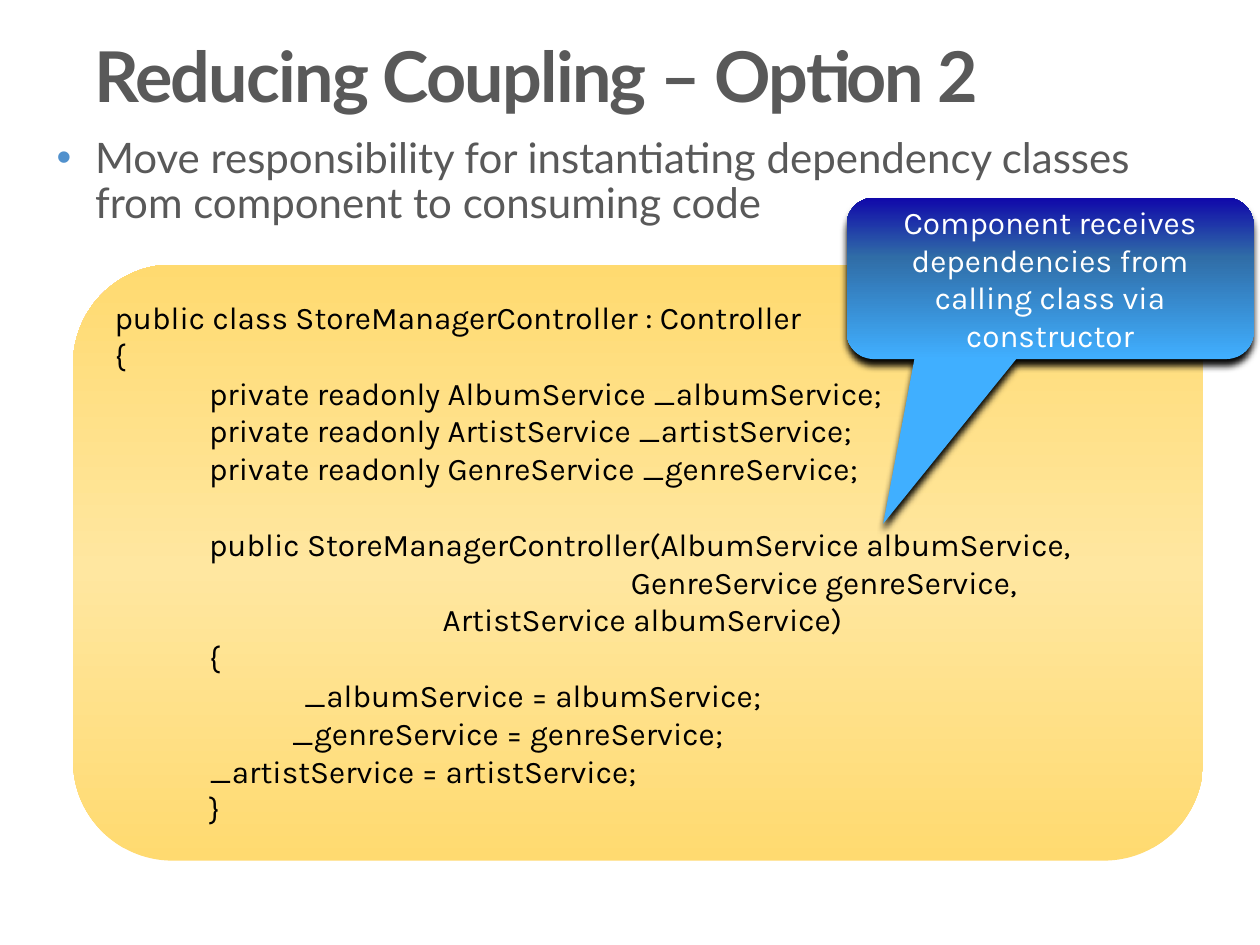
from copy import deepcopy
from dataclasses import dataclass

from lxml import etree
from pptx import Presentation
from pptx import util as u
from pptx.dml.color import RGBColor
from pptx.enum import shapes, text
from pptx.oxml.ns import qn

COLOURS = {
    "heading": "595959", "bullet": "5191CD", "code": "000000", "callout": "FFFFFF",
    "shadow": "000000", "amber": "FFDA70", "pale_amber": "FFE7A0",
    "sky": "40AFFF", "steel": "306DA7", "navy": "1008AA",
}


@dataclass(frozen=True)
class Box:
    left: float
    top: float
    width: float
    height: float

    def lengths(self) -> list:
        return [u.Pt(value) for value in (self.left, self.top, self.width, self.height)]


@dataclass(frozen=True)
class TextStyle:
    font: str
    size: float
    colour: str
    bold: bool = False


@dataclass(frozen=True)
class CodeLine:
    text: str
    indent: float = 0
    space_before: float = 0


TAB = 54
LINE_HEIGHT = 21.6
HEADING = TextStyle("Lato", 40, "heading", True)
BODY = TextStyle("Lato", 24, "heading")
CODE = TextStyle("Karla", 18, "code")
CALLOUT = TextStyle("Karla", 18, "callout")

CODE_LINES = [
    CodeLine("public class StoreManagerController : Controller"),
    CodeLine("{"),
    CodeLine("private readonly AlbumService _albumService;", TAB),
    CodeLine("private readonly ArtistService _artistService;", TAB),
    CodeLine("private readonly GenreService _genreService;", TAB),
    CodeLine("public StoreManagerController(AlbumService albumService,", TAB, LINE_HEIGHT),
    CodeLine("GenreService genreService,", 295),
    CodeLine("ArtistService albumService)", 187.5),
    CodeLine("{", TAB),
    CodeLine("_albumService = albumService;", 2 * TAB),
    CodeLine("_genreService = genreService;", 101),
    CodeLine("_artistService = artistService;", TAB),
    CodeLine("}", TAB),
]


def rgb(name: str) -> RGBColor:
    return RGBColor.from_string(COLOURS[name])


def write(paragraph, content: str, style: TextStyle) -> None:
    paragraph.text = content
    for run in paragraph.runs:
        run.font.name = style.font
        run.font.size = u.Pt(style.size)
        run.font.bold = style.bold
        run.font.color.rgb = rgb(style.colour)


def set_indent(paragraph, margin: float, first_line: float = 0) -> None:
    properties = paragraph._p.get_or_add_pPr()
    properties.set("marL", str(u.Pt(margin)))
    properties.set("indent", str(u.Pt(first_line)))


def add_bullet(paragraph, colour: str) -> None:
    properties = paragraph._p.get_or_add_pPr()
    bullet_colour = etree.SubElement(properties, qn("a:buClr"))
    etree.SubElement(bullet_colour, qn("a:srgbClr"), val=COLOURS[colour])
    etree.SubElement(properties, qn("a:buFont"), typeface="Arial")
    etree.SubElement(properties, qn("a:buChar"), char="•")


def add_text(slide, box: Box, content: str, style: TextStyle):
    """Add a text box without insets and return its paragraph."""
    frame = slide.shapes.add_textbox(*box.lengths()).text_frame
    frame.word_wrap = True
    frame.margin_left = frame.margin_right = frame.margin_top = frame.margin_bottom = 0
    paragraph = frame.paragraphs[0]
    paragraph.line_spacing = 0.9
    write(paragraph, content, style)
    return paragraph


def add_gradient_shape(slide, kind, box: Box, stops: list[tuple[float, str]]):
    """Add a shape whose three gradient stops run from bottom to top."""
    shape = slide.shapes.add_shape(kind, *box.lengths())
    shape.shadow.inherit = False
    shape.line.fill.background()
    shape.fill.gradient()
    shape.fill.gradient_angle = 90
    stop_list = shape._element.spPr.find(".//" + qn("a:gsLst"))
    stop_list.append(deepcopy(stop_list[-1]))
    for stop, (position, colour) in zip(shape.fill.gradient_stops, stops):
        stop.position = position
        stop.color.rgb = rgb(colour)
    shape.text_frame.word_wrap = True
    shape.text_frame.vertical_anchor = text.MSO_ANCHOR.MIDDLE
    return shape


def add_drop_shadow(shape, blur: float, distance: float, opacity: int) -> None:
    effects = shape._element.spPr.find(qn("a:effectLst"))
    shadow = etree.SubElement(
        effects, qn("a:outerShdw"), blurRad=str(u.Pt(blur)),
        dist=str(u.Pt(distance)), dir="5400000", rotWithShape="0")
    colour = etree.SubElement(shadow, qn("a:srgbClr"), val=COLOURS["shadow"])
    etree.SubElement(colour, qn("a:alpha"), val=str(opacity * 1000))


def add_code_panel(slide) -> None:
    panel = add_gradient_shape(
        slide, shapes.MSO_SHAPE.ROUNDED_RECTANGLE, Box(41.8, 151.2, 645.8, 340.6),
        [(0, "amber"), (0.49, "pale_amber"), (1, "amber")])
    frame = panel.text_frame
    for index, line in enumerate(CODE_LINES):
        paragraph = frame.add_paragraph() if index else frame.paragraphs[0]
        paragraph.alignment = text.PP_ALIGN.LEFT
        paragraph.space_before = u.Pt(line.space_before)
        set_indent(paragraph, line.indent)
        write(paragraph, line.text, CODE)


def add_callout(slide) -> None:
    callout = add_gradient_shape(
        slide, shapes.MSO_SHAPE.ROUNDED_RECTANGULAR_CALLOUT, Box(483.8, 113, 232.6, 92.2),
        [(0, "sky"), (0.63, "steel"), (1, "navy")])
    for index, value in enumerate((-0.41, 1.52, 0.17)):
        callout.adjustments[index] = value
    add_drop_shadow(callout, blur=4, distance=4, opacity=96)
    paragraph = callout.text_frame.paragraphs[0]
    paragraph.alignment = text.PP_ALIGN.CENTER
    write(paragraph, "Component receives dependencies from calling class via constructor", CALLOUT)


def main() -> None:
    presentation = Presentation()
    presentation.slide_width, presentation.slide_height = u.Pt(720), u.Pt(540)
    slide = presentation.slides.add_slide(presentation.slide_layouts[6])

    title = add_text(slide, Box(54, 23.8, 612, 80.6), "Reducing Coupling – Option 2", HEADING)
    title.runs[0].font._element.set("spc", "-100")
    add_code_panel(slide)
    add_callout(slide)
    point = add_text(
        slide, Box(32.4, 78.5, 617.8, 52.6),
        "Move responsibility for instantiating dependency classes "
        "from component to consuming code", BODY)
    point.space_before = u.Pt(6)
    set_indent(point, 21.9, -21.9)
    add_bullet(point, "bullet")

    presentation.save("out.pptx")


if __name__ == "__main__":
    main()
